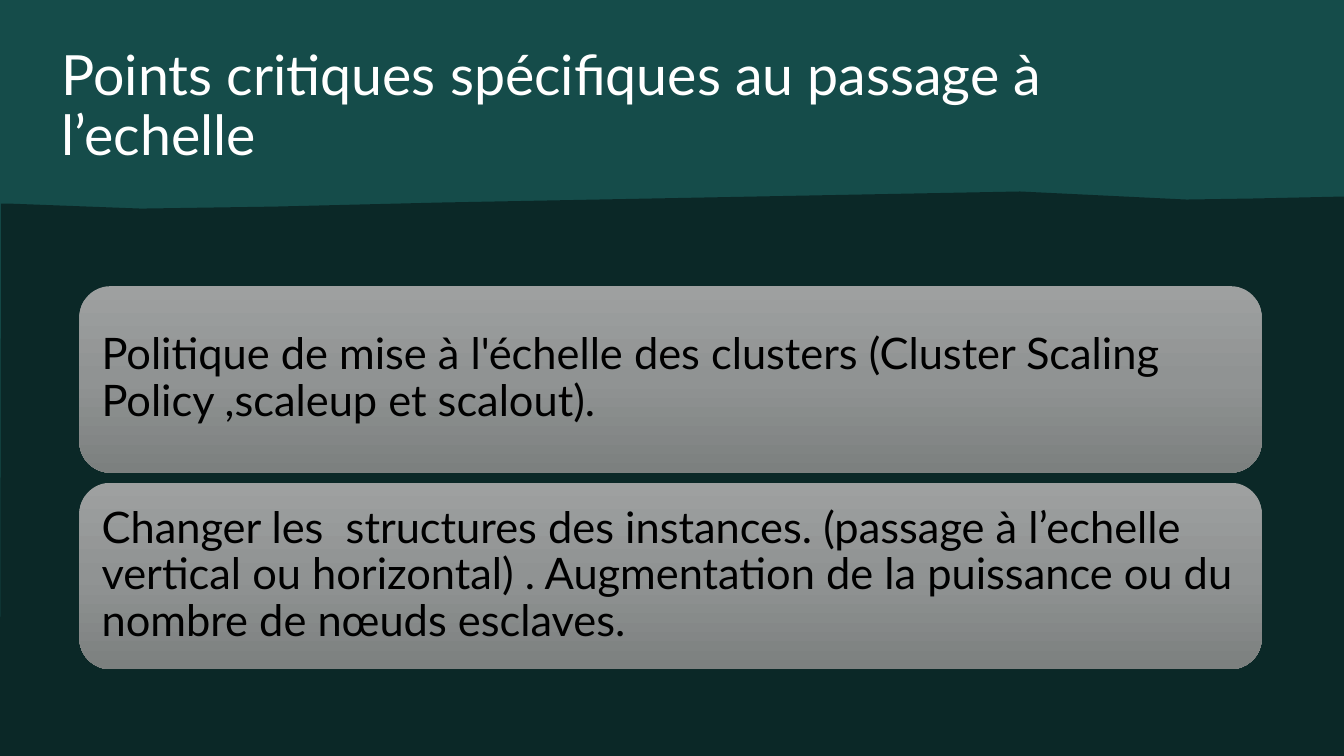
import copy
import pptx
import pptx.util
import pptx.dml.color
import pptx.enum.shapes
import pptx.enum.text
import pptx.oxml.ns

Pt = pptx.util.Pt
Shape = pptx.enum.shapes.MSO_SHAPE
Anchor = pptx.enum.text.MSO_ANCHOR
Align = pptx.enum.text.PP_ALIGN

# Content
TITLE = "Points critiques spécifiques au passage à l’echelle"
CARDS = [
    "Politique de mise à l'échelle des clusters (Cluster Scaling Policy ,scaleup et scalout).",
    "Changer les  structures des instances. (passage à l’echelle vertical ou horizontal) . "
    "Augmentation de la puissance ou du nombre de nœuds esclaves.",
]
FONT = "Lato"
DARK, TEAL = "0B2827", "154C4A"
STOPS = [(0, "9EA0A0"), (0.5, "909393"), (1, "7C807F")]

# Layout, in points
WIDE, HIGH = 960, 540
EDGE = [(728.64, 136.8), (847.44, 142.56), (894.96, 141.84), (WIDE, 140.4),
        (WIDE, HIGH), (0, HIGH), (0.72, 145.44), (5.76, 145.44), (100.8, 149.04),
        (195.84, 147.6), (254.88, 146.16), (313.92, 144.72)]
LEFT, TOP, WIDTH, HEIGHT, GAP = 56.7, 204.4, 844.6, 133.2, 7.2


def color(code):
    return pptx.dml.color.RGBColor.from_string(code)


def paint(shape, code):
    shape.shadow.inherit = False
    shape.line.fill.background()
    shape.fill.solid()
    shape.fill.fore_color.rgb = color(code)


def shade(shape):
    shape.shadow.inherit = False
    shape.line.fill.background()
    fill = shape.fill
    fill.gradient()
    fill.gradient_angle = 270
    stops = shape._element.spPr.find(".//" + pptx.oxml.ns.qn("a:gsLst"))
    stops.insert(1, copy.deepcopy(stops[0]))
    for stop, (place, code) in zip(fill.gradient_stops, STOPS):
        stop.position = place
        stop.color.rgb = color(code)


def write(shape, text, size, code, inset, anchor):
    frame = shape.text_frame
    frame.word_wrap = True
    frame.vertical_anchor = anchor
    frame.margin_left = frame.margin_right = Pt(inset)
    frame.margin_top = frame.margin_bottom = Pt(inset)
    line = frame.paragraphs[0]
    line.text = text
    line.alignment = Align.LEFT
    line.line_spacing = 0.9
    line.font.name = FONT
    line.font.size = Pt(size)
    line.font.color.rgb = color(code)


deck = pptx.Presentation()
deck.slide_width, deck.slide_height = Pt(WIDE), Pt(HIGH)
slide = deck.slides.add_slide(deck.slide_layouts[6])
slide.background.fill.solid()
slide.background.fill.fore_color.rgb = color(DARK)
shapes = slide.shapes

# Teal backdrop and dark ground with its uneven edge
paint(shapes.add_shape(Shape.RECTANGLE, 0, 0, Pt(WIDE), Pt(HIGH)), TEAL)
points = [(Pt(x), Pt(y)) for x, y in EDGE]
ground = shapes.build_freeform(*points[0])
ground.add_line_segments(points[1:], close=True)
paint(ground.convert_to_shape(), DARK)

# Title
title = shapes.add_textbox(Pt(44), Pt(34.3), Pt(820), Pt(86))
write(title, TITLE, 39.6, "FFFFFF", 0, Anchor.TOP)

# Cards
for row, text in enumerate(CARDS):
    top = TOP + row * (HEIGHT + GAP)
    card = shapes.add_shape(Shape.ROUNDED_RECTANGLE, Pt(LEFT), Pt(top), Pt(WIDTH), Pt(HEIGHT))
    shade(card)
    write(card, text, 31, "000000", 9.4, Anchor.MIDDLE)

deck.save("out.pptx")
